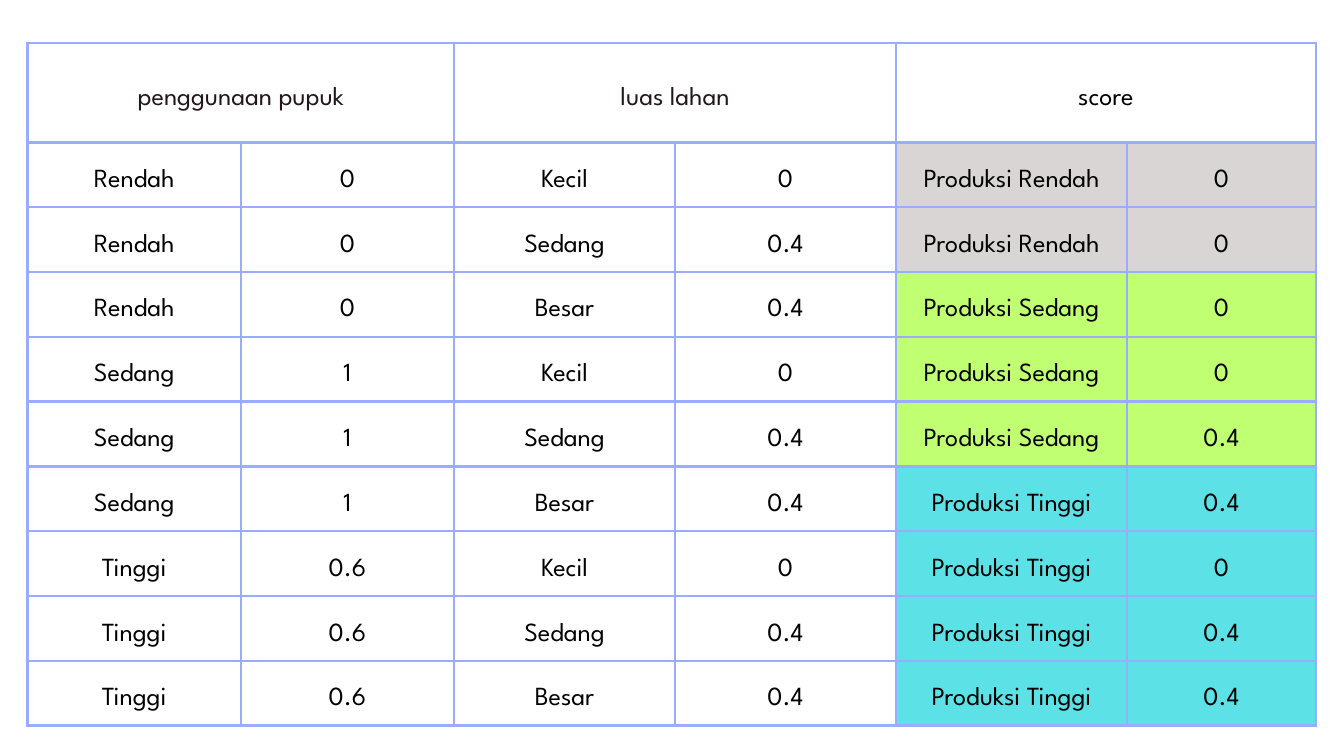
from lxml.etree import SubElement
from pptx import Presentation
from pptx.dml.color import RGBColor
from pptx.enum.text import MSO_ANCHOR as Anchor, PP_ALIGN as Align
from pptx.oxml.ns import qn
from pptx.util import Pt

BLACK = RGBColor(0x00, 0x00, 0x00)
DARK = RGBColor(0x23, 0x16, 0x1B)
BORDER = RGBColor(0x99, 0xAC, 0xFF)
LEVEL_FILLS = {
    "Rendah": RGBColor(0xDA, 0xD5, 0xD5),
    "Sedang": RGBColor(0xC1, 0xFF, 0x72),
    "Tinggi": RGBColor(0x5C, 0xE1, 0xE6),
}

FERTILIZER = [("Rendah", "0"), ("Sedang", "1"), ("Tinggi", "0.6")]
LAND = [("Kecil", "0"), ("Sedang", "0.4"), ("Besar", "0.4")]
OUTPUT = [
    ("Rendah", "0"), ("Rendah", "0"), ("Sedang", "0"),
    ("Sedang", "0"), ("Sedang", "0.4"), ("Tinggi", "0.4"),
    ("Tinggi", "0"), ("Tinggi", "0.4"), ("Tinggi", "0.4"),
]
COLUMN_WIDTHS = [228.5, 228.5, 236.75, 236.75, 247.5, 202.5]
HEADER_HEIGHT, ROW_HEIGHT = 106.5, 67.9
INSET = Pt(15.12)


def add_borders(cell, color=BORDER, width=Pt(3)):
    properties = cell._tc.get_or_add_tcPr()
    for side in ("a:lnL", "a:lnR", "a:lnT", "a:lnB"):
        line = SubElement(properties, qn(side), w=str(int(width)))
        fill = SubElement(line, qn("a:solidFill"))
        SubElement(fill, qn("a:srgbClr"), val=str(color))


def write_cell(cell, text, color=BLACK, fill=None, size=28, font="League Spartan"):
    cell.margin_left = cell.margin_right = INSET
    cell.margin_top = cell.margin_bottom = INSET
    cell.vertical_anchor = Anchor.MIDDLE
    if fill is None:
        cell.fill.background()
    else:
        cell.fill.solid()
        cell.fill.fore_color.rgb = fill
    para = cell.text_frame.paragraphs[0]
    para.alignment = Align.CENTER
    para.line_spacing = Pt(39.2)
    span = para.add_run()
    span.text = text
    span.font.size = Pt(size)
    span.font.name = font
    span.font.color.rgb = color


# Deck and page
deck = Presentation()
deck.slide_width, deck.slide_height = Pt(1440), Pt(810)
page = deck.slides.add_slide(deck.slide_layouts[6])

# Table grid
table_height = HEADER_HEIGHT + ROW_HEIGHT * len(OUTPUT)
table = page.shapes.add_table(
    len(OUTPUT) + 1, len(COLUMN_WIDTHS),
    Pt(29.5), Pt(46), Pt(sum(COLUMN_WIDTHS)), Pt(table_height),
).table
table.first_row = table.horz_banding = False
for column, width in zip(table.columns, COLUMN_WIDTHS):
    column.width = Pt(width)
for index, row in enumerate(table.rows):
    row.height = Pt(ROW_HEIGHT if index else HEADER_HEIGHT)
for cell in table.iter_cells():
    add_borders(cell)

# Header cells, each over two columns
headers = [("penggunaan pupuk", DARK), ("luas lahan", DARK), ("score", BLACK)]
for index, (title, color) in enumerate(headers):
    cell = table.cell(0, 2 * index)
    cell.merge(table.cell(0, 2 * index + 1))
    write_cell(cell, title, color=color)

# Every fertilizer level paired with every land size
pairs = [(fertilizer, land) for fertilizer in FERTILIZER for land in LAND]
for row, ((fertilizer, land), (level, score)) in enumerate(zip(pairs, OUTPUT), 1):
    for column, text in enumerate([*fertilizer, *land, f"Produksi {level}", score]):
        fill = LEVEL_FILLS[level] if column >= 4 else None
        write_cell(table.cell(row, column), text, fill=fill)

deck.save("out.pptx")
